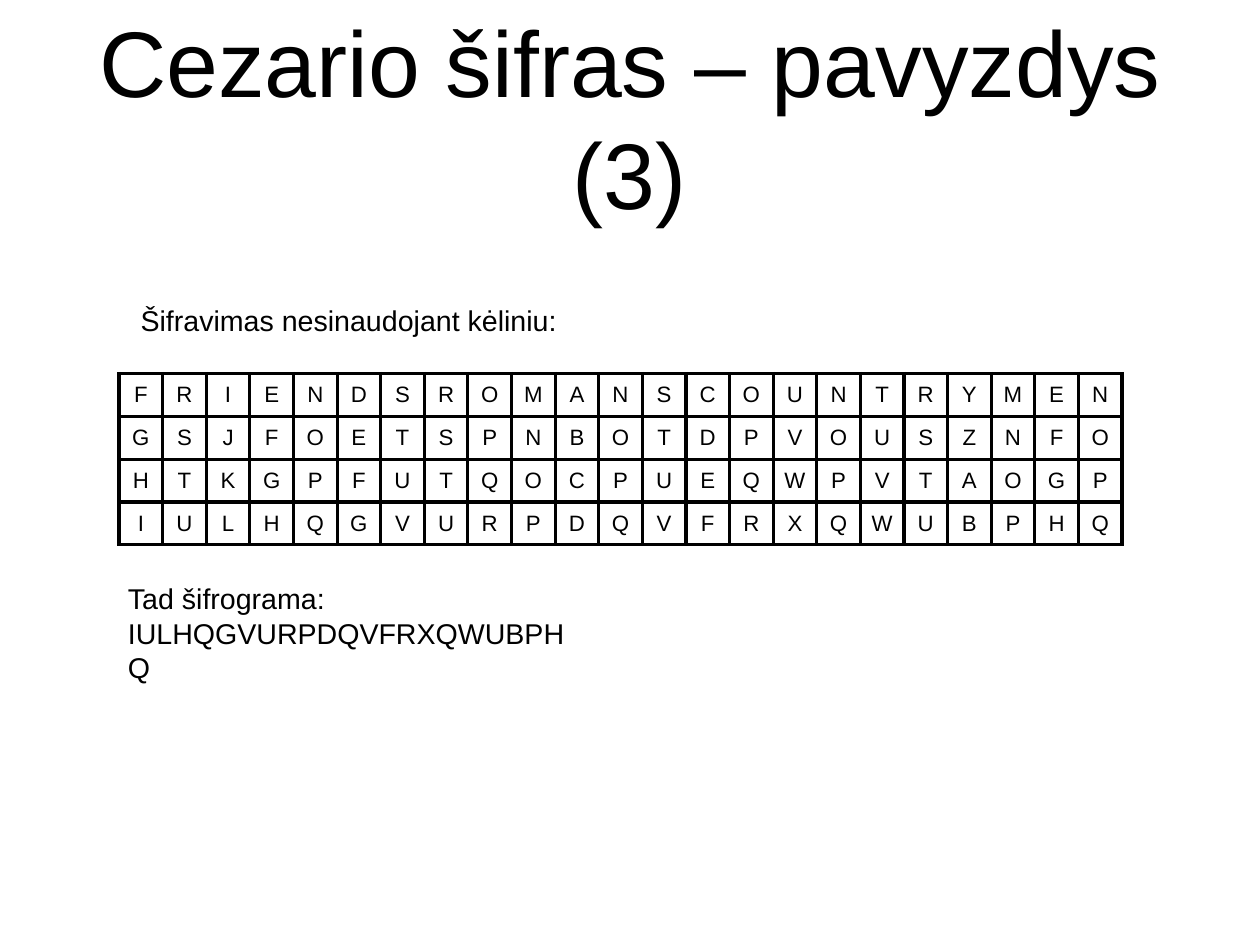
from lxml.etree import SubElement as Sub
from pptx import Presentation
from pptx.dml.color import RGBColor as Rgb
from pptx.enum.text import MSO_ANCHOR as Anchor, MSO_AUTO_SIZE as Auto
from pptx.enum.text import PP_ALIGN as Align
from pptx.oxml.ns import qn
from pptx.util import Pt

INK = "000000"
PLAIN = "FRIENDSROMANSCOUNTRYMEN"
STEPS = 4
HEAD = {"size": Pt(58.7), "name": "Arial"}
BODY = {"size": Pt(18), "name": "Arial"}
CELL = {"size": Pt(14), "name": "Arial"}
FLUSH = dict.fromkeys(
    ("margin_left", "margin_top", "margin_right", "margin_bottom"), 0)


def tint(color, code):
    """Set a colour from a hex string."""
    color.rgb = Rgb.from_string(code)


def apply(item, form):
    """Set attributes from a dict of format values."""
    for key, value in form.items():
        setattr(item, key, value)


def style(para, form, align):
    """Give a paragraph its font and alignment."""
    para.alignment = align
    apply(para.font, form)
    tint(para.font.color, INK)


def shift(word, step):
    """Move each letter forward in the alphabet, wrapping at Z."""
    return "".join(chr((ord(c) - 65 + step) % 26 + 65) for c in word)


def write(slide, box, lines, form, align, frame):
    """Place a text box with one paragraph per line."""
    text = slide.shapes.add_textbox(*map(Pt, box)).text_frame
    apply(text, {"auto_size": Auto.SHAPE_TO_FIT_TEXT, **frame})
    text.text = "\n".join(lines)
    for para in text.paragraphs:
        style(para, form, align)


def edge(cell, width):
    """Draw a solid line on all four sides of a cell."""
    props = cell._tc.get_or_add_tcPr()
    for side in ("a:lnL", "a:lnR", "a:lnT", "a:lnB"):
        line = Sub(props, qn(side), w=str(Pt(width)))
        fill = Sub(line, qn("a:solidFill"))
        Sub(fill, qn("a:srgbClr"), val=INK)


def grid(slide, box, rows):
    """Place a table of single letters with equal columns and rows."""
    left, top, width, height = box
    count = len(rows[0])
    table = slide.shapes.add_table(len(rows), count, *map(Pt, box)).table
    apply(table, {"first_row": False, "horz_banding": False})
    for col in table.columns:
        col.width = Pt(width / count)
    for row, word in zip(table.rows, rows):
        row.height = Pt(height / len(rows))
        for cell, letter in zip(row.cells, word):
            apply(cell, {**FLUSH, "text": letter,
                         "vertical_anchor": Anchor.MIDDLE})
            style(cell.text_frame.paragraphs[0], CELL, Align.CENTER)
            edge(cell, 2.27)
            cell.fill.background()


def main():
    """Build the slide and save it."""
    deck = Presentation()
    apply(deck, {"slide_width": Pt(793.7), "slide_height": Pt(595.28)})
    slide = deck.slides.add_slide(deck.slide_layouts[6])
    rows = [shift(PLAIN, step) for step in range(STEPS)]
    frame = {"word_wrap": False}
    write(slide, (39.6, 7.6, 714.24, 131), ["Cezario šifras – pavyzdys (3)"],
          HEAD, Align.CENTER,
          {**FLUSH, "word_wrap": True, "vertical_anchor": Anchor.MIDDLE})
    grid(slide, (75, 235.3, 631.8, 108), rows)
    write(slide, (81.5, 187.2, 276.5, 27.4),
          ["Šifravimas nesinaudojant kėliniu:"], BODY, Align.LEFT, frame)
    write(slide, (73.5, 362.7, 303.1, 47.5),
          ["Tad šifrograma:", rows[-1]], BODY, Align.LEFT, frame)
    deck.save("out.pptx")


if __name__ == "__main__":
    main()
